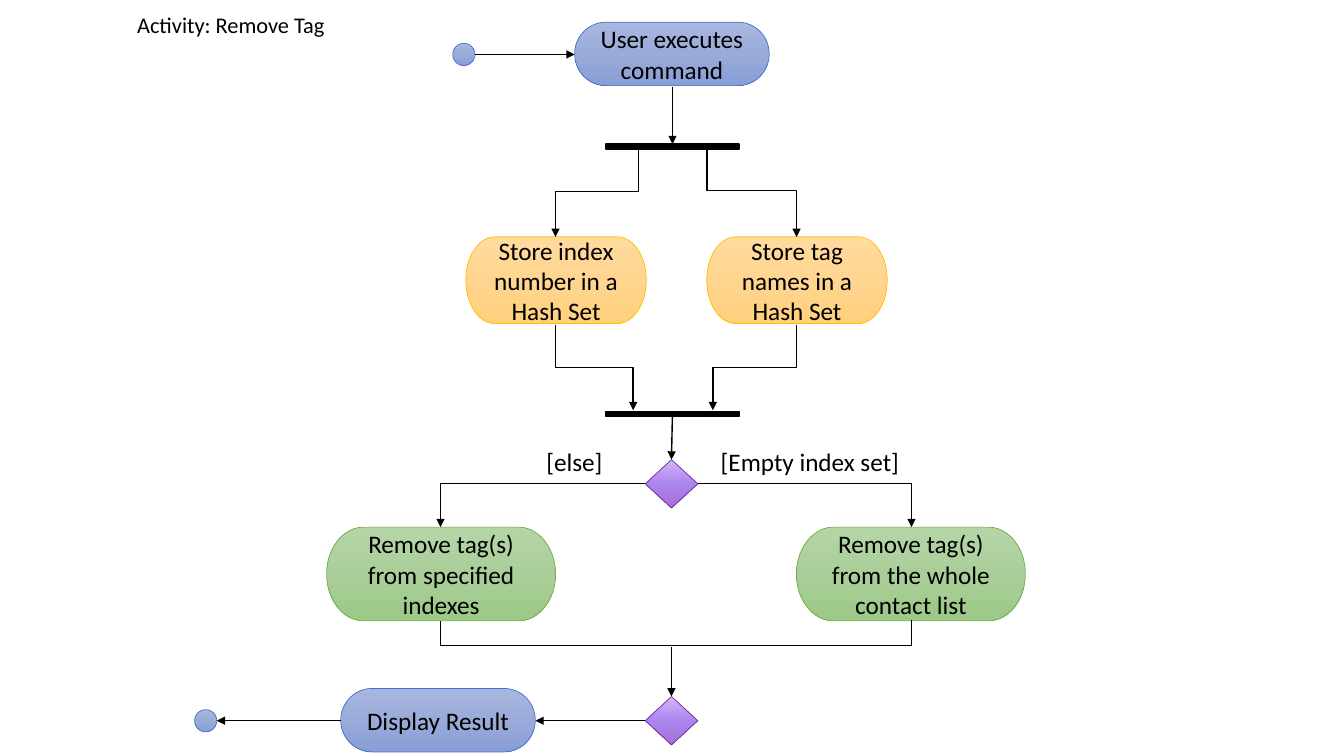
from copy import deepcopy
from lxml import etree
from pptx import Presentation
from pptx.dml.color import RGBColor
from pptx.enum.shapes import MSO_CONNECTOR, MSO_SHAPE
from pptx.enum.text import MSO_ANCHOR, PP_ALIGN
from pptx.oxml.ns import qn
from pptx.util import Inches, Pt

COLORS = {"black": "000000", "white": "FFFFFF"}
GRADIENTS = {
    "blue": ("A8B7DF", "9AABD9", "889ED7", "4472C4"),
    "orange": ("FFDB9E", "FFD590", "FFD07C", "FFC000"),
    "green": ("B5D5A7", "AACE9A", "9CC987", "70AD47"),
    "purple": ("D3B8F6", "AB85EF", "A86ED4", "7030A0"),
}
BLACK = RGBColor.from_string(COLORS["black"])

deck = Presentation()
deck.slide_width = Inches(13.33)
deck.slide_height = Inches(7.5)
page = deck.slides.add_slide(deck.slide_layouts[6])


def write(shape, text, size, align):
    frame = shape.text_frame
    frame.word_wrap = True
    frame.text = text
    para = frame.paragraphs[0]
    para.alignment = align
    span = para.runs[0]
    span.font.name = "Calibri"
    span.font.size = Pt(size)
    span.font.color.rgb = BLACK


def connect(start, end, route="straight", bend=0.5, arrow=True):
    (x1, y1), (x2, y2) = start, end
    kind = MSO_CONNECTOR.STRAIGHT if route == "straight" else MSO_CONNECTOR.ELBOW
    line = page.shapes.add_connector(kind, Inches(x1), Inches(y1), Inches(x2), Inches(y2))
    line.line.color.rgb = BLACK
    line.line.width = Pt(1)
    properties = line._element.spPr
    etree.SubElement(properties, qn("a:effectLst"))
    if arrow:
        etree.SubElement(properties.find(qn("a:ln")), qn("a:tailEnd"), type="triangle")
    geometry = properties.find(qn("a:prstGeom"))
    if route == "corner":
        geometry.set("prst", "bentConnector2")
    if route == "vertical":
        across, down = abs(x2 - x1), y2 - y1
        line.left = Inches((x1 + x2 - down) / 2)
        line.top = Inches((y1 + y2 - across) / 2)
        line.width, line.height = Inches(down), Inches(across)
        transform = properties.find(qn("a:xfrm"))
        transform.attrib.pop("flipH", None)
        transform.set("rot", str((90 if x2 < x1 else 270) * 60000))
        if x2 > x1:
            transform.set("flipH", "1")
        adjustments = geometry.find(qn("a:avLst"))
        etree.SubElement(adjustments, qn("a:gd"), name="adj1", fmla=f"val {round(bend * 100000)}")


nodes = [
    (MSO_SHAPE.OVAL, "blue", 4.49, 0.43, 0.22, 0.22, ""),
    (MSO_SHAPE.FLOWCHART_DECISION, "purple", 6.4, 4.56, 0.52, 0.48, ""),
    (MSO_SHAPE.FLOWCHART_TERMINATOR, "blue", 5.7, 0.22, 1.93, 0.63, "User executes command"),
    (MSO_SHAPE.FLOWCHART_TERMINATOR, "green", 7.9, 5.23, 2.27, 0.93,
     "Remove tag(s) from the whole contact list"),
    (MSO_SHAPE.FLOWCHART_TERMINATOR, "orange", 7.01, 2.35, 1.79, 0.86,
     "Store tag names in a Hash Set"),
    (MSO_SHAPE.FLOWCHART_TERMINATOR, "orange", 4.62, 2.35, 1.79, 0.86,
     "Store index number in a Hash Set"),
    (MSO_SHAPE.FLOWCHART_TERMINATOR, "green", 3.24, 5.23, 2.27, 0.93,
     "Remove tag(s) from specified indexes"),
    (MSO_SHAPE.FLOWCHART_TERMINATOR, "blue", 3.38, 6.83, 1.93, 0.63, "Display Result"),
    (MSO_SHAPE.OVAL, "blue", 1.93, 7.04, 0.22, 0.22, ""),
    (MSO_SHAPE.FLOWCHART_DECISION, "purple", 6.4, 6.91, 0.52, 0.48, ""),
]
for kind, color, left, top, width, height, text in nodes:
    node = page.shapes.add_shape(kind, Inches(left), Inches(top), Inches(width), Inches(height))
    node.shadow.inherit = False
    *tones, border = GRADIENTS[color]
    node.fill.gradient()
    node.fill.gradient_angle = 270
    stop_list = node._element.spPr.find(qn("a:gradFill")).find(qn("a:gsLst"))
    stop_list.insert(1, deepcopy(stop_list[0]))
    for stop, tone, position in zip(node.fill.gradient_stops, tones, (0, 0.5, 1)):
        stop.color.rgb = RGBColor.from_string(tone)
        stop.position = position
    node.line.color.rgb = RGBColor.from_string(border)
    node.line.width = Pt(0.5)
    if text:
        node.text_frame.vertical_anchor = MSO_ANCHOR.MIDDLE
        write(node, text, 18, PP_ALIGN.CENTER)

for top in (1.43, 4.08):
    bar = page.shapes.add_shape(MSO_SHAPE.RECTANGLE, Inches(6.01), Inches(top), Inches(1.32), Inches(0.05))
    bar.shadow.inherit = False
    bar.fill.solid()
    bar.fill.fore_color.rgb = BLACK
    bar.line.color.rgb = BLACK
    bar.line.width = Pt(1)

for start, end in [
    ((4.71, 0.54), (5.7, 0.54)),
    ((6.67, 0.86), (6.67, 1.43)),
    ((6.67, 4.08), (6.66, 4.56)),
    ((6.66, 6.42), (6.66, 6.91)),
    ((6.4, 7.15), (5.31, 7.15)),
    ((3.38, 7.15), (2.15, 7.15)),
]:
    connect(start, end)

for start, end in [
    ((6.33, 1.45), (5.51, 2.35)),
    ((7.01, 1.43), (7.9, 2.35)),
    ((5.51, 3.22), (6.28, 4.07)),
    ((7.9, 3.22), (7.07, 4.07)),
]:
    connect(start, end, "vertical")

connect((6.92, 4.8), (9.04, 5.23), "corner")
connect((6.4, 4.8), (4.37, 5.23), "corner")
connect((9.04, 6.15), (4.37, 6.16), "vertical", bend=26, arrow=False)

for text, left, top, width, height, size, align in [
    ("[Empty index set]", 7.05, 4.38, 2.01, 0.4, 18, PP_ALIGN.LEFT),
    ("[else]", 5.32, 4.38, 2.01, 0.4, 18, PP_ALIGN.LEFT),
    ("Activity: Remove Tag", 1.2, 0.06, 2.18, 0.37, 16, PP_ALIGN.CENTER),
]:
    box = page.shapes.add_textbox(Inches(left), Inches(top), Inches(width), Inches(height))
    write(box, text, size, align)

deck.save("out.pptx")
